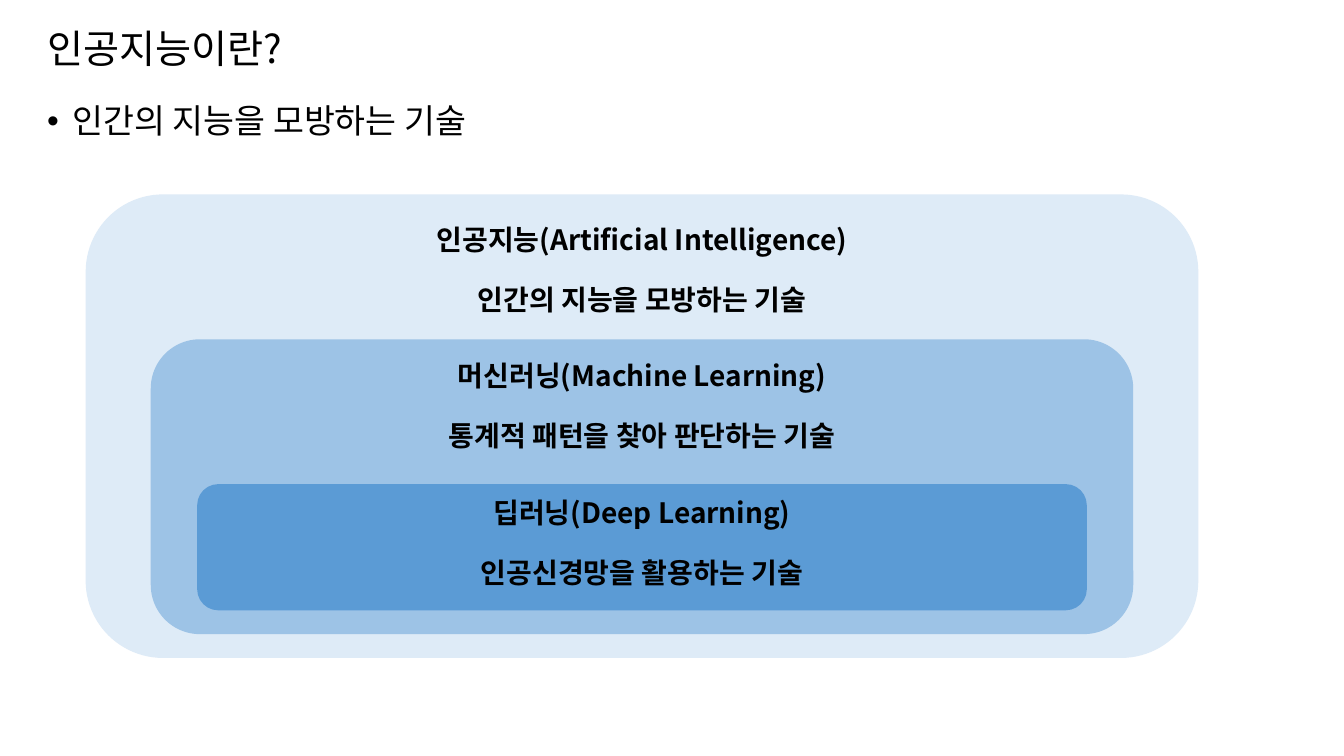
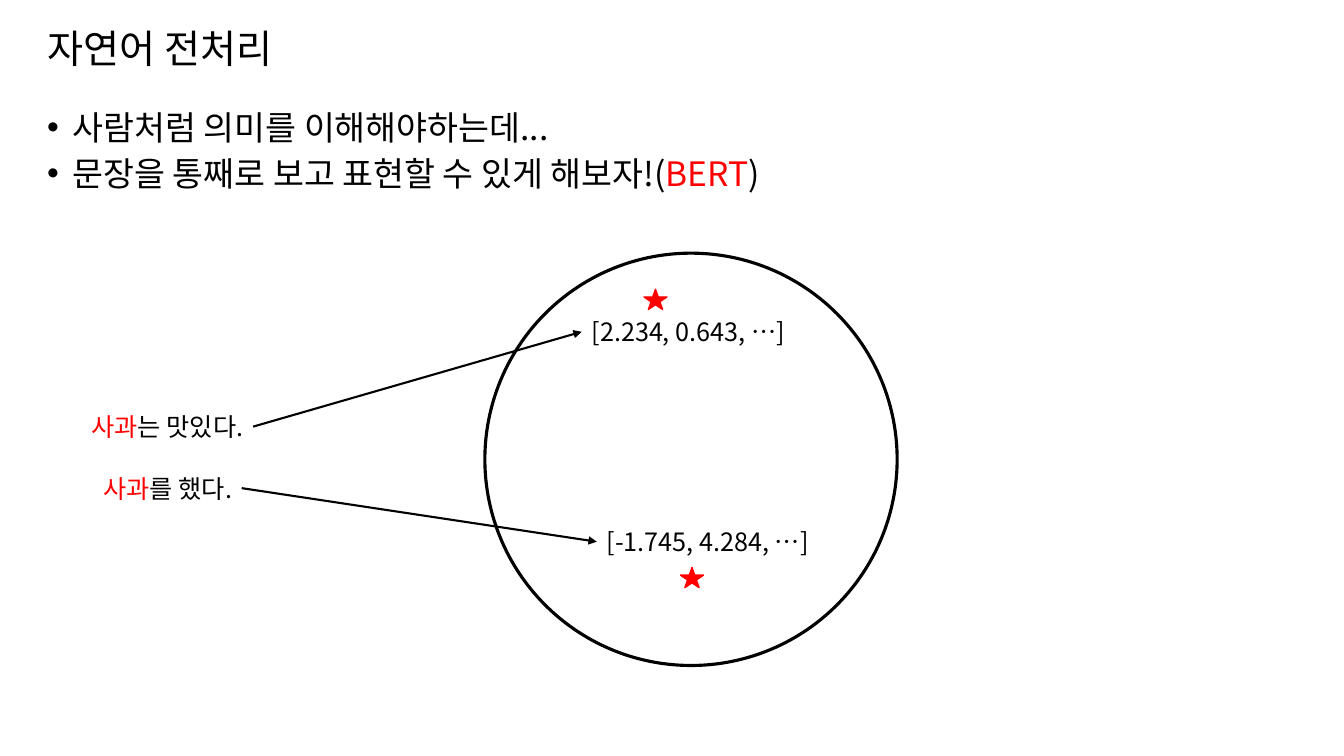
from lxml import etree
from pptx import Presentation
from pptx.dml.color import RGBColor
from pptx.enum.shapes import MSO_CONNECTOR, MSO_SHAPE
from pptx.enum.text import MSO_ANCHOR, MSO_AUTO_SIZE, PP_ALIGN
from pptx.oxml.ns import qn
from pptx.util import Cm, Pt

ROUNDED = MSO_SHAPE.ROUNDED_RECTANGLE
OVAL = MSO_SHAPE.OVAL
STAR = MSO_SHAPE.STAR_5_POINT
STRAIGHT = MSO_CONNECTOR.STRAIGHT
TOP, MIDDLE = MSO_ANCHOR.TOP, MSO_ANCHOR.MIDDLE
LEFT, CENTER = PP_ALIGN.LEFT, PP_ALIGN.CENTER
NO_FIT, GROW = MSO_AUTO_SIZE.NONE, MSO_AUTO_SIZE.SHAPE_TO_FIT_TEXT
LEFT_SIDE, RIGHT_SIDE = 1, 3
TITLE_ONLY = 5

FONT = "Noto Sans CJK KR"
COLORS = {
    "text": "000000",
    "accent": "FF0000",
    "white": "FFFFFF",
    "outer": "DEEBF7",
    "middle": "9DC3E6",
    "inner": "5B9BD5",
}
TITLE_BOX = (0.94, 0.53, 32, 1.5)


def color(name):
    """Return the named palette colour."""
    return RGBColor.from_string(COLORS[name])


def lengths(box):
    """Convert a box in centimetres to lengths."""
    return [Cm(value) for value in box]


def style_paragraph(paragraph, size, bold=False, align=LEFT):
    """Set the shared font on a paragraph, for Latin and Korean text."""
    paragraph.alignment = align
    font = paragraph.font
    font.size, font.bold, font.name = Pt(size), bold, FONT
    font.color.rgb = color("text")
    defaults = paragraph._p.pPr.find(qn("a:defRPr"))
    etree.SubElement(defaults, qn("a:ea")).set("typeface", FONT)


def add_runs(paragraph, parts):
    """Add (text, colour name) parts to a paragraph."""
    for text, color_name in parts:
        run = paragraph.add_run()
        run.text = text
        if color_name != "text":
            run.font.color.rgb = color(color_name)


def add_figure(slide, kind, box, fill, line=None, width=1):
    """Add a preset shape with a plain fill and an optional outline."""
    shape = slide.shapes.add_shape(kind, *lengths(box))
    shape.shadow.inherit = False
    shape.fill.solid()
    shape.fill.fore_color.rgb = color(fill)
    if line:
        shape.line.color.rgb = color(line)
        shape.line.width = Pt(width)
    else:
        shape.line.fill.background()
    return shape


def add_titled_slide(presentation, title):
    """Add a slide with the shared title style."""
    slide = presentation.slides.add_slide(presentation.slide_layouts[TITLE_ONLY])
    shape = slide.shapes.title
    shape.left, shape.top, shape.width, shape.height = lengths(TITLE_BOX)
    frame = shape.text_frame
    frame.text = title
    frame.auto_size = NO_FIT
    frame.vertical_anchor = MIDDLE
    frame.paragraphs[0].line_spacing = 0.9
    style_paragraph(frame.paragraphs[0], 28)
    return slide


def add_bullets(slide, box, items, line_spacing=1.0):
    """Add a bulleted list, each item a list of coloured parts."""
    frame = slide.shapes.add_textbox(*lengths(box)).text_frame
    frame.word_wrap = True
    for index, parts in enumerate(items):
        paragraph = frame.add_paragraph() if index else frame.paragraphs[0]
        paragraph.line_spacing = line_spacing
        if index:
            paragraph.space_before = Pt(4)
        properties = paragraph._p.get_or_add_pPr()
        properties.set("marL", str(Cm(0.64)))
        properties.set("indent", str(-Cm(0.64)))
        etree.SubElement(properties, qn("a:buFont")).set("typeface", "Arial")
        etree.SubElement(properties, qn("a:buChar")).set("char", "•")
        style_paragraph(paragraph, 24)
        add_runs(paragraph, parts)


def add_nested_panels(slide, box, panels):
    """Add rounded panels, each inset by its side margin in the one before."""
    left, top, width, height = box
    for fill, side, lines in panels:
        if side:
            left, top = left + side, top + 3.65
            width, height = width - 2 * side, height - 4.25
        frame = add_figure(slide, ROUNDED, (left, top, width, height), fill).text_frame
        frame.word_wrap = True
        frame.vertical_anchor = TOP
        frame.text = "\n".join(lines)
        frame.paragraphs[1].space_before = Pt(19)
        for paragraph in frame.paragraphs:
            style_paragraph(paragraph, 20, bold=True, align=CENTER)


def add_label(slide, box, parts):
    """Add a one-line label that fits its text."""
    label = slide.shapes.add_textbox(*lengths(box))
    frame = label.text_frame
    frame.word_wrap = False
    frame.auto_size = GROW
    style_paragraph(frame.paragraphs[0], 18)
    add_runs(frame.paragraphs[0], parts)
    return label


def add_arrow(slide, source, target):
    """Join the right side of one label to the left side of another."""
    arrow = slide.shapes.add_connector(STRAIGHT, 0, 0, 0, 0)
    arrow.begin_connect(source, RIGHT_SIDE)
    arrow.end_connect(target, LEFT_SIDE)
    arrow.line.color.rgb = color("text")
    arrow.line.width = Pt(1.5)
    line = arrow.line._get_or_add_ln()
    etree.SubElement(line, qn("a:tailEnd")).set("type", "triangle")
    etree.SubElement(arrow._element.spPr, qn("a:effectLst"))


def add_embedding(slide, box, mappings):
    """Map sentences at the left to starred vectors in a circle at the right."""
    left, top, width, height = box
    circle = (left + width - height, top, height, height)
    add_figure(slide, OVAL, circle, "white", "text", 2.25)
    for ending, sentence_at, vector, vector_at, star_at in mappings:
        (x, y, w), (vector_x, vector_y, vector_w) = sentence_at, vector_at
        sentence = add_label(slide, (left + x, top + y, w, 1.02),
                             [("사과", "accent"), (ending, "text")])
        target = add_label(slide, (left + vector_x, top + vector_y, vector_w, 1.02),
                           [(vector, "text")])
        add_arrow(slide, sentence, target)
        star_x, star_y = star_at
        add_figure(slide, STAR, (left + star_x, top + star_y, 0.58, 0.51),
                   "accent", "accent")


def build_definition_slide(presentation):
    """Build the slide that defines artificial intelligence."""
    slide = add_titled_slide(presentation, "인공지능이란?")
    add_bullets(slide, (0.94, 2.51, 32, 1.5),
                [[("인간의 지능을 모방하는 기술", "text")]], 0.9)
    add_nested_panels(slide, (2.16, 4.9, 28.04, 11.68), [
        ("outer", 0, ("인공지능(Artificial Intelligence)", "인간의 지능을 모방하는 기술")),
        ("middle", 1.64, ("머신러닝(Machine Learning)", "통계적 패턴을 찾아 판단하는 기술")),
        ("inner", 1.17, ("딥러닝(Deep Learning)", "인공신경망을 활용하는 기술")),
    ])


def build_preprocessing_slide(presentation):
    """Build the slide on representing whole sentences."""
    slide = add_titled_slide(presentation, "자연어 전처리")
    add_bullets(slide, (0.94, 2.57, 32, 2.9), [
        [("사람처럼 의미를 이해해야하는데...", "text")],
        [("문장을 통째로 보고 표현할 수 있게 해보자!(", "text"),
         ("BERT", "accent"), (")", "text")],
    ])
    add_embedding(slide, (2.06, 6.38, 20.55, 10.39), [
        ("는 맛있다.", (0, 3.86, 4.32),
         "[2.234, 0.643, …]", (12.6, 1.47, 5.56), (14.17, 0.91)),
        ("를 했다.", (0.3, 5.41, 3.73),
         "[-1.745, 4.284, …]", (12.98, 6.76, 5.82), (15.09, 7.92)),
    ])


def main():
    """Build and save the presentation."""
    presentation = Presentation()
    presentation.slide_width, presentation.slide_height = Cm(33.87), Cm(19.05)
    build_definition_slide(presentation)
    build_preprocessing_slide(presentation)
    presentation.save("out.pptx")


if __name__ == "__main__":
    main()
